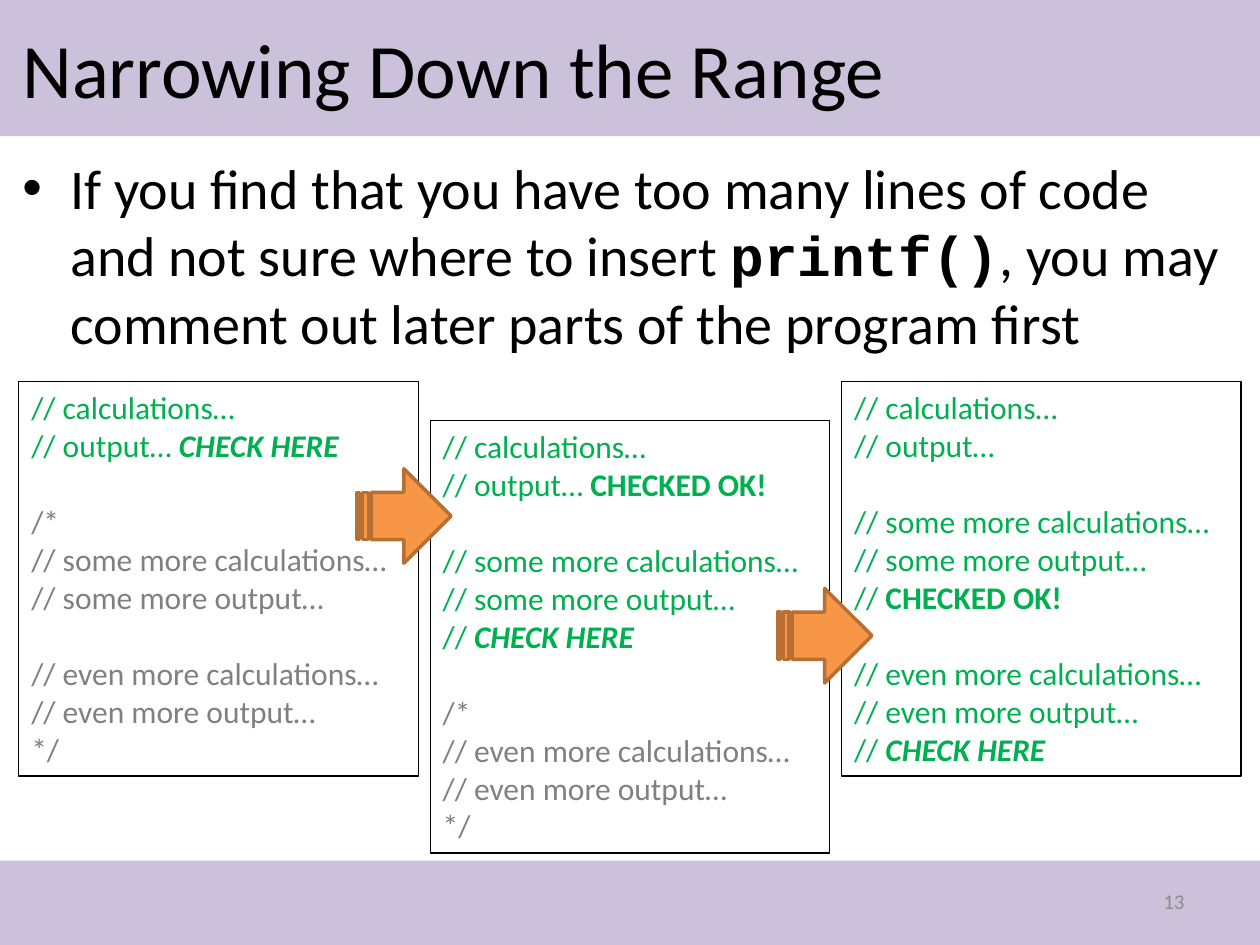
from dataclasses import dataclass

from lxml import etree
from pptx import Presentation
from pptx import util as u
from pptx.dml.color import RGBColor
from pptx.enum import shapes, text
from pptx.oxml import ns


@dataclass(frozen=True)
class Theme:
    """Colours, fonts and type sizes of the slide."""
    band: str = "CCC1DA"
    ink: str = "000000"
    active: str = "00B050"
    disabled: str = "808080"
    number: str = "8C8C8C"
    arrow: str = "F79646"
    arrow_edge: str = "B76F34"
    font: str = "Calibri"
    code_font: str = "Courier New"
    title_size: float = 44
    body_size: float = 32
    code_size: float = 18
    number_size: float = 12
    code_line: float = 22


@dataclass(frozen=True)
class Line:
    """One line of code, with an optional emphasised remark."""
    words: str
    remark: str = ""
    italic: bool = False
    active: bool = True
    gap: bool = False


@dataclass(frozen=True)
class Stage:
    """One step of the search: its vertical place and its listing."""
    top: float
    height: float
    lines: tuple[Line, ...]


THEME = Theme()
WIDTH, HEIGHT = 10, 7.5
LEFT, COLUMN, STEP = 0.15, 3.17, 3.265
ARROW_SIZE = 0.75
TODO, DONE = "CHECK HERE", "CHECKED OK!"

EVEN_MORE_OFF = (
    Line("// even more calculations…", active=False),
    Line("// even more output…", active=False),
    Line("*/", active=False),
)
SOME_MORE = (
    Line("// some more calculations…", gap=True),
    Line("// some more output…"),
)
STAGES = (
    Stage(3.03, 3.13, (
        Line("// calculations…"),
        Line("// output… ", TODO, italic=True),
        Line("/*", active=False, gap=True),
        Line("// some more calculations…", active=False),
        Line("// some more output…", active=False),
        Line("// even more calculations…", active=False, gap=True),
        *EVEN_MORE_OFF[1:],
    )),
    Stage(3.34, 3.43, (
        Line("// calculations…"),
        Line("// output… ", DONE),
        *SOME_MORE,
        Line("// ", TODO, italic=True),
        Line("/*", active=False, gap=True),
        *EVEN_MORE_OFF,
    )),
    Stage(3.03, 3.13, (
        Line("// calculations…"),
        Line("// output…"),
        *SOME_MORE,
        Line("// ", DONE),
        Line("// even more calculations…", gap=True),
        Line("// even more output…"),
        Line("// ", TODO, italic=True),
    )),
)
ARROWS = ((2.83, 3.72), (6.17, 4.67))


def inches(*lengths: float) -> list[u.Length]:
    """Turn plain numbers into lengths."""
    return [u.Inches(length) for length in lengths]


def set_font(para, size: float, colour: str) -> None:
    """Set the font shared by all spans of a paragraph."""
    para.font.name = THEME.font
    para.font.size = u.Pt(size)
    para.font.color.rgb = RGBColor.from_string(colour)


def add_span(para, words: str):
    """Append words to a paragraph and return their span."""
    span = para.add_run()
    span.text = words
    return span


def add_text_box(page, *place: float, anchor=text.MSO_ANCHOR.TOP):
    """Add a wrapping text box and return its frame."""
    frame = page.shapes.add_textbox(*inches(*place)).text_frame
    frame.word_wrap = True
    frame.vertical_anchor = anchor
    return frame


def add_filled(page, kind, fill: str, *place: float):
    """Add a flat filled shape without an outline."""
    shape = page.shapes.add_shape(kind, *inches(*place))
    shape.shadow.inherit = False
    shape.fill.solid()
    shape.fill.fore_color.rgb = RGBColor.from_string(fill)
    shape.line.fill.background()
    return shape


def outline(shape, colour: str, width: float) -> None:
    """Give a shape a solid outline."""
    shape.line.color.rgb = RGBColor.from_string(colour)
    shape.line.width = u.Pt(width)


def add_bullet(para, indent: float) -> None:
    """Give a paragraph a hanging round bullet."""
    props = para._p.get_or_add_pPr()
    props.set("marL", str(u.Inches(indent)))
    props.set("indent", str(-u.Inches(indent)))
    font = etree.Element(ns.qn("a:buFont"), typeface="Arial")
    mark = etree.Element(ns.qn("a:buChar"), char="•")
    default = props.find(ns.qn("a:defRPr"))
    default.addprevious(font)
    default.addprevious(mark)


def add_heading(page) -> None:
    """Draw the bands, title, statement and page number."""
    for top, height in ((0, 1.08), (6.83, 0.67)):
        add_filled(page, shapes.MSO_SHAPE.RECTANGLE, THEME.band,
                   0, top, WIDTH, height)

    title = add_text_box(page, 0.08, 0.08, 9, 0.92,
                         anchor=text.MSO_ANCHOR.MIDDLE).paragraphs[0]
    set_font(title, THEME.title_size, THEME.ink)
    add_span(title, "Narrowing Down the Range")

    body = add_text_box(page, 0.08, 1.17, 9.77, 5.58).paragraphs[0]
    set_font(body, THEME.body_size, THEME.ink)
    body.space_before = u.Pt(0.2 * THEME.body_size)
    add_bullet(body, 0.38)
    add_span(body, "If you find that you have too many lines of code "
                   "and not sure where to insert ")
    call = add_span(body, "printf()")
    call.font.name = THEME.code_font
    call.font.bold = True
    add_span(body, ", you may comment out later parts of the program first")

    number = add_text_box(page, 7.17, 6.95, 2.33, 0.4,
                          anchor=text.MSO_ANCHOR.MIDDLE).paragraphs[0]
    number.alignment = text.PP_ALIGN.RIGHT
    set_font(number, THEME.number_size, THEME.number)
    add_span(number, "13")


def add_stage(page, column: int, stage: Stage) -> None:
    """Draw one framed code listing in its column."""
    box = page.shapes.add_textbox(
        *inches(LEFT + column * STEP, stage.top, COLUMN, stage.height))
    outline(box, THEME.ink, 0.75)
    frame = box.text_frame
    frame.word_wrap = True
    for index, line in enumerate(stage.lines):
        para = frame.add_paragraph() if index else frame.paragraphs[0]
        set_font(para, THEME.code_size,
                 THEME.active if line.active else THEME.disabled)
        if line.gap:
            para.space_before = u.Pt(THEME.code_line)
        add_span(para, line.words)
        if line.remark:
            remark = add_span(para, line.remark)
            remark.font.bold = True
            remark.font.italic = line.italic


deck = Presentation()
deck.slide_width, deck.slide_height = inches(WIDTH, HEIGHT)
page = deck.slides.add_slide(deck.slide_layouts[6])
add_heading(page)
for column, stage in enumerate(STAGES):
    add_stage(page, column, stage)
for left, top in ARROWS:
    arrow = add_filled(page, shapes.MSO_SHAPE.STRIPED_RIGHT_ARROW,
                       THEME.arrow, left, top, ARROW_SIZE, ARROW_SIZE)
    outline(arrow, THEME.arrow_edge, 2)
deck.save("out.pptx")
